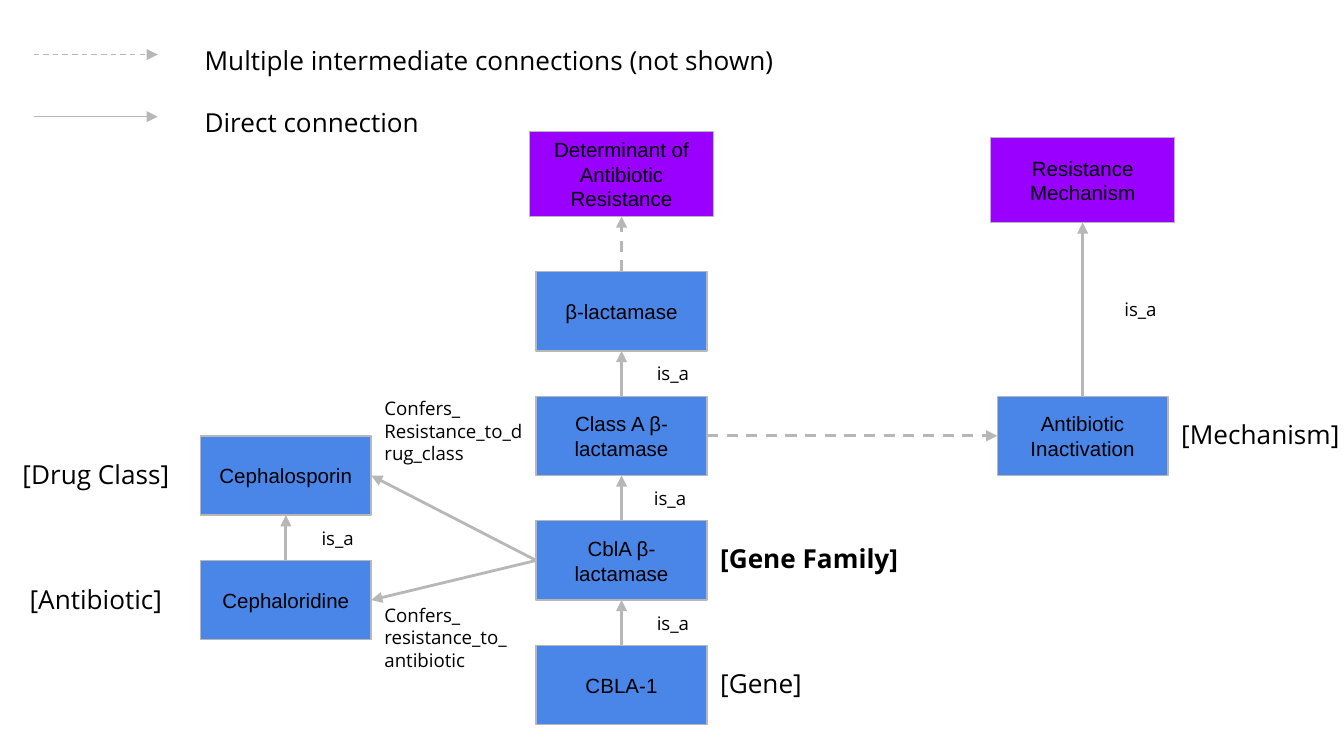
from dataclasses import dataclass
from lxml.etree import SubElement
from pptx import Presentation
from pptx.dml.color import RGBColor
from pptx.enum.dml import MSO_LINE
from pptx.enum.shapes import MSO_CONNECTOR, MSO_SHAPE
from pptx.enum.text import MSO_ANCHOR, PP_ALIGN
from pptx.oxml.ns import qn
from pptx.util import Pt


@dataclass(frozen=True)
class Theme:
    blue: RGBColor = RGBColor(0x4A, 0x86, 0xE8)
    purple: RGBColor = RGBColor(0x99, 0x00, 0xFF)
    grey: RGBColor = RGBColor(0xB7, 0xB7, 0xB7)
    black: RGBColor = RGBColor(0, 0, 0)
    node_font: str = "Arial"
    label_font: str = "Open Sans"
    node: float = 11
    small: float = 10
    large: float = 14
    thin: float = 0.75
    thick: float = 1.5
    inset: float = 7.2


@dataclass(frozen=True)
class Box:
    left: float
    top: float
    width: float
    height: float

    def inner(self, x, y, width, height):
        return Box(self.left + x, self.top + y, width, height)

    def points(self):
        return Pt(self.left), Pt(self.top), Pt(self.width), Pt(self.height)


THEME = Theme()
TOP, LEFT, BOTTOM, RIGHT = range(4)
PITCH = 66.75
NODE_W, NODE_H = 91.5, 42.5
ROOT_W, ROOT_H = 98.5, 45.5
ROOT_X = (NODE_W - ROOT_W) / 2


def write(shape, text, size, font, align, bold=False):
    frame = shape.text_frame
    frame.text = text
    frame.word_wrap = True
    frame.margin_left = frame.margin_right = Pt(THEME.inset)
    frame.margin_top = frame.margin_bottom = Pt(THEME.inset)
    for line in frame.paragraphs:
        line.alignment = align
        for run in line.runs:
            run.font.size = Pt(size)
            run.font.name = font
            run.font.bold = bold
            run.font.color.rgb = THEME.black
    return frame


def add_node(slide, box, text, fill=THEME.blue):
    shape = slide.shapes.add_shape(MSO_SHAPE.RECTANGLE, *box.points())
    shape.shadow.inherit = False
    shape.fill.solid()
    shape.fill.fore_color.rgb = fill
    shape.line.color.rgb = THEME.grey
    shape.line.width = Pt(THEME.thin)
    frame = write(shape, text, THEME.node, THEME.node_font, PP_ALIGN.CENTER)
    frame.vertical_anchor = MSO_ANCHOR.MIDDLE
    return shape


def add_label(slide, box, text, size=THEME.large, align=PP_ALIGN.LEFT, bold=False):
    shape = slide.shapes.add_textbox(*box.points())
    write(shape, text, size, THEME.label_font, align, bold)


def add_is_a(slide, box, x, y):
    add_label(slide, box.inner(x, y, 34, 24.5), "is_a", THEME.small)


def add_arrow(slide, start=(0, 0), end=(0, 0), width=THEME.thick, dashed=False):
    arrow = slide.shapes.add_connector(
        MSO_CONNECTOR.STRAIGHT, *map(Pt, (*start, *end)))
    arrow.line.color.rgb = THEME.grey
    arrow.line.width = Pt(width)
    if dashed:
        arrow.line.dash_style = MSO_LINE.DASH
    SubElement(arrow.line._get_or_add_ln(), qn("a:tailEnd"), type="triangle")
    SubElement(arrow._element.spPr, qn("a:effectLst"))
    return arrow


def join(slide, start, side, end, other, dashed=False):
    arrow = add_arrow(slide, dashed=dashed)
    arrow.begin_connect(start, side)
    arrow.end_connect(end, other)


def add_legend(slide, box):
    rows = (("Multiple intermediate connections (not shown)", True, 328),
            ("Direct connection", False, 240.5))
    for i, (text, dashed, width) in enumerate(rows):
        row = box.inner(0, i * 33.25, box.width, 24.5)
        y = row.top + 12.75
        add_arrow(slide, (row.left, y), (row.left + 66.5, y), THEME.thin, dashed)
        add_label(slide, row.inner(84.5, 0, width, row.height), text)


def add_genes(slide, box):
    root = add_node(slide, box.inner(ROOT_X, 0, ROOT_W, ROOT_H),
                    "Determinant of Antibiotic Resistance", THEME.purple)
    names = ("β-lactamase", "Class A β-lactamase", "CblA β-lactamase", "CBLA-1")
    tops = [75 + i * PITCH for i in range(len(names))]
    nodes = [add_node(slide, box.inner(0, top, NODE_W, NODE_H), name)
             for top, name in zip(tops, names)]
    join(slide, nodes[0], TOP, root, BOTTOM, dashed=True)
    for upper, lower, top, x in zip(nodes, nodes[1:], tops, (57.5, 56, 57.5)):
        join(slide, lower, TOP, upper, BOTTOM)
        add_is_a(slide, box, x, top + NODE_H)
    for top, text, bold in zip(tops[2:], ("[Gene Family]", "[Gene]"), (True, False)):
        add_label(slide, box.inner(NODE_W, top + 4.5, 114, 33), text, bold=bold)
    return nodes


def add_drugs(slide, box):
    rows = (("[Drug Class]", "Cephalosporin"), ("[Antibiotic]", "Cephaloridine"))
    nodes = []
    for i, (label, name) in enumerate(rows):
        row = box.inner(0, i * PITCH, box.width, NODE_H)
        add_label(slide, row.inner(0, 5, 98.5, 33), label, align=PP_ALIGN.CENTER)
        nodes.append(add_node(slide, row.inner(105.25, 0, NODE_W, NODE_H), name))
    join(slide, nodes[1], TOP, nodes[0], BOTTOM)
    add_is_a(slide, box, 163, NODE_H)
    edge = 105.25 + NODE_W
    add_label(slide, box.inner(edge, -28, 88.5, 45.5),
              "Confers_\nResistance_to_drug_class", THEME.small)
    add_label(slide, box.inner(edge, 82.75, 88.5, 52),
              "Confers_\nresistance_to_\nantibiotic", THEME.small)
    return nodes


def add_mechanism(slide, box):
    root = add_node(slide, box.inner(ROOT_X, 0, ROOT_W, ROOT_H),
                    "Resistance Mechanism", THEME.purple)
    top = box.height - NODE_H
    node = add_node(slide, box.inner(0, top, NODE_W, NODE_H), "Antibiotic Inactivation")
    join(slide, node, TOP, root, BOTTOM)
    add_is_a(slide, box, 61, 80)
    add_label(slide, box.inner(NODE_W, top + 4.5, 114, 33), "[Mechanism]")
    return node


def main():
    deck = Presentation()
    deck.slide_width, deck.slide_height = Pt(720), Pt(405)
    slide = deck.slides.add_slide(deck.slide_layouts[6])
    add_legend(slide, Box(18, 16.5, 412.5, 57.75))
    genes = add_genes(slide, Box(287.25, 70.5, 205.5, 317.75))
    drugs = add_drugs(slide, Box(2.15, 233.5, 285, 109.25))
    mechanism = add_mechanism(slide, Box(534.25, 73.75, 205.5, 181))
    join(slide, genes[1], RIGHT, mechanism, LEFT, dashed=True)
    for drug in drugs:
        join(slide, genes[2], LEFT, drug, RIGHT)
    deck.save("out.pptx")


if __name__ == "__main__":
    main()
